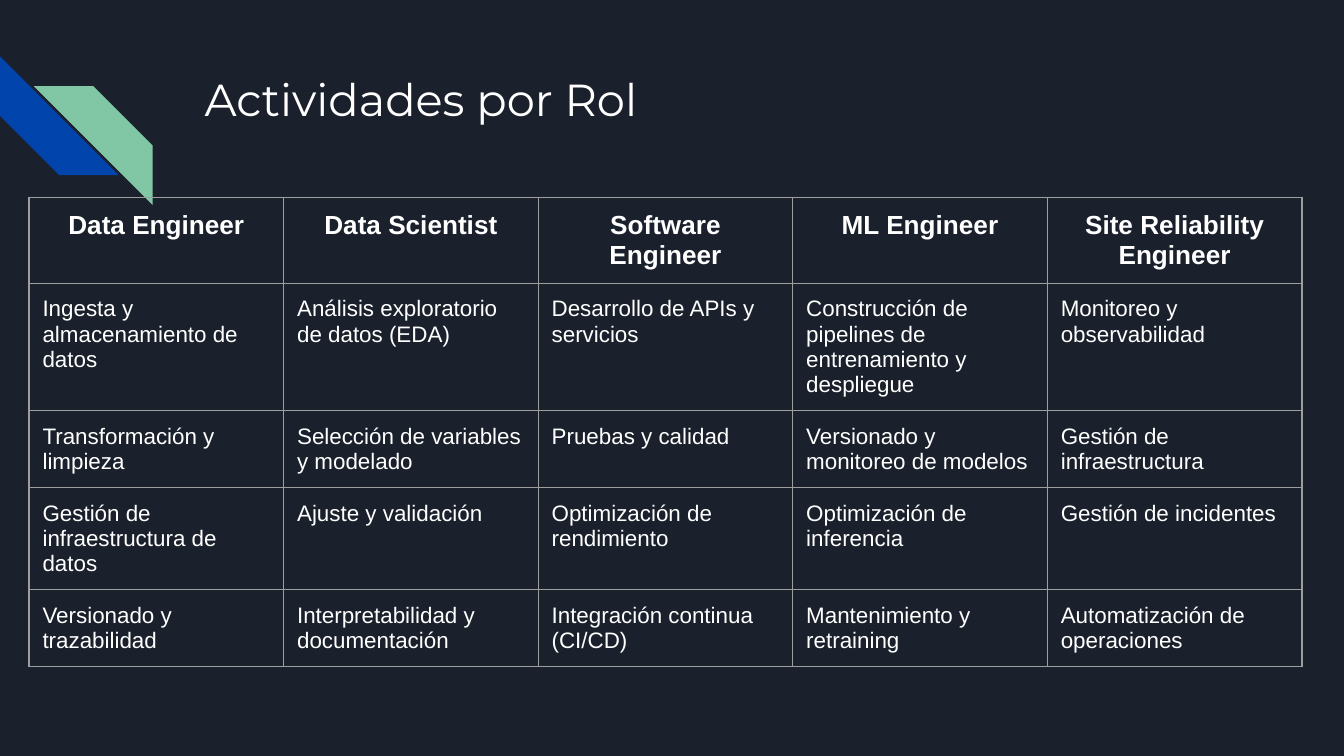
from lxml.etree import SubElement
from pptx import Presentation
from pptx.dml.color import RGBColor
from pptx.enum.shapes import MSO_SHAPE
from pptx.enum.text import MSO_ANCHOR, MSO_AUTO_SIZE, PP_ALIGN
from pptx.oxml.ns import qn
from pptx.util import Pt

COLORS = {"bg": "1B212C", "blue": "0145AC", "green": "82C7A5",
          "text": "FFFFFF", "border": "9E9E9E"}
TITLE = {"name": "Montserrat", "size": Pt(24), "bold": False}
HEADER = {"name": "Arial", "size": Pt(14), "bold": True}
BODY = {"name": "Arial", "size": Pt(12), "bold": False}
INSET = Pt(7.2)
MARGINS = {f"margin_{side}": INSET for side in ("left", "top", "right", "bottom")}
ROWS = [
    ["Data Engineer", "Data Scientist", "Software Engineer",
     "ML Engineer", "Site Reliability Engineer"],
    ["Ingesta y almacenamiento de datos", "Análisis exploratorio de datos (EDA)",
     "Desarrollo de APIs y servicios",
     "Construcción de pipelines de entrenamiento y despliegue",
     "Monitoreo y observabilidad"],
    ["Transformación y limpieza", "Selección de variables y modelado",
     "Pruebas y calidad", "Versionado y monitoreo de modelos",
     "Gestión de infraestructura"],
    ["Gestión de infraestructura de datos", "Ajuste y validación",
     "Optimización de rendimiento", "Optimización de inferencia",
     "Gestión de incidentes"],
    ["Versionado y trazabilidad", "Interpretabilidad y documentación",
     "Integración continua (CI/CD)", "Mantenimiento y retraining",
     "Automatización de operaciones"],
]


def rgb(key):
    return RGBColor.from_string(COLORS[key])


def set_attrs(obj, values):
    for name, value in values.items():
        setattr(obj, name, value)


def write(tf, text, font, align=PP_ALIGN.LEFT):
    p = tf.paragraphs[0]
    p.alignment = align
    r = p.add_run()
    r.text = text
    set_attrs(r.font, font)
    r.font.color.rgb = rgb("text")


def add_title(s, text):
    title = s.shapes.title
    set_attrs(title, {"left": Pt(102.4), "top": Pt(31), "width": Pt(554.4), "height": Pt(72)})
    tf = title.text_frame
    set_attrs(tf, {**MARGINS, "word_wrap": True, "auto_size": MSO_AUTO_SIZE.NONE,
                   "vertical_anchor": MSO_ANCHOR.TOP})
    write(tf, text, TITLE)


def add_stripe(s, left, top, color, rotation=0, flip=False):
    sp = s.shapes.add_shape(MSO_SHAPE.DIAGONAL_STRIPE, Pt(left), Pt(top), Pt(63.6), Pt(63.6))
    sp.adjustments[0] = 0.5
    sp.rotation = rotation
    sp.shadow.inherit = False
    sp.fill.solid()
    sp.fill.fore_color.rgb = rgb(color)
    sp.line.fill.background()
    if flip:
        sp._element.spPr.xfrm.set("flipH", "1")


def add_borders(cell):
    tc_pr = cell._tc.get_or_add_tcPr()
    for i, side in enumerate(("lnL", "lnR", "lnT", "lnB")):
        ln = SubElement(tc_pr, qn(f"a:{side}"), w=str(Pt(0.75)))
        fill = SubElement(ln, qn("a:solidFill"))
        SubElement(fill, qn("a:srgbClr"), val=COLORS["border"])
        tc_pr.insert(i, ln)


def add_role_table(s, rows):
    cols = len(rows[0])
    heights = [Pt(43.2)] + [Pt(39.6)] * (len(rows) - 1)
    table = s.shapes.add_table(len(rows), cols, Pt(15.6), Pt(105.8),
                               Pt(136.4) * cols, sum(heights)).table
    set_attrs(table, {"first_row": False, "horz_banding": False})
    for col in table.columns:
        col.width = Pt(136.4)
    for i, (row, height) in enumerate(zip(rows, heights)):
        table.rows[i].height = height
        font, align = (BODY, PP_ALIGN.LEFT) if i else (HEADER, PP_ALIGN.CENTER)
        for j, text in enumerate(row):
            cell = table.cell(i, j)
            set_attrs(cell, {**MARGINS, "vertical_anchor": MSO_ANCHOR.TOP})
            cell.fill.background()
            add_borders(cell)
            write(cell.text_frame, text, font, align)


def main():
    prs = Presentation()
    set_attrs(prs, {"slide_width": Pt(720), "slide_height": Pt(405)})
    s = prs.slides.add_slide(prs.slide_layouts[5])
    s.background.fill.solid()
    s.background.fill.fore_color.rgb = rgb("bg")
    add_stripe(s, 0, 30.2, "blue", rotation=270)
    add_stripe(s, 18.2, 46.2, "green", flip=True)
    add_title(s, "Actividades por Rol")
    add_role_table(s, ROWS)
    prs.save("out.pptx")


if __name__ == "__main__":
    main()
